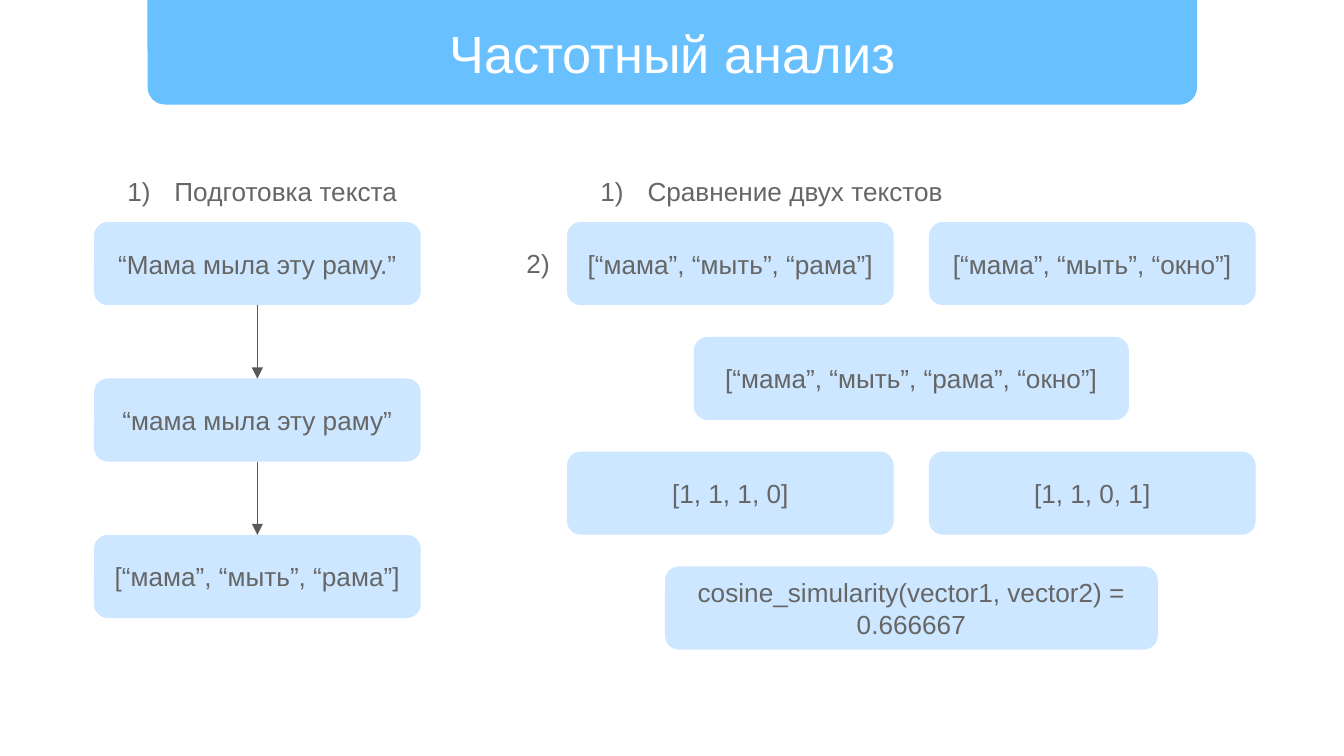
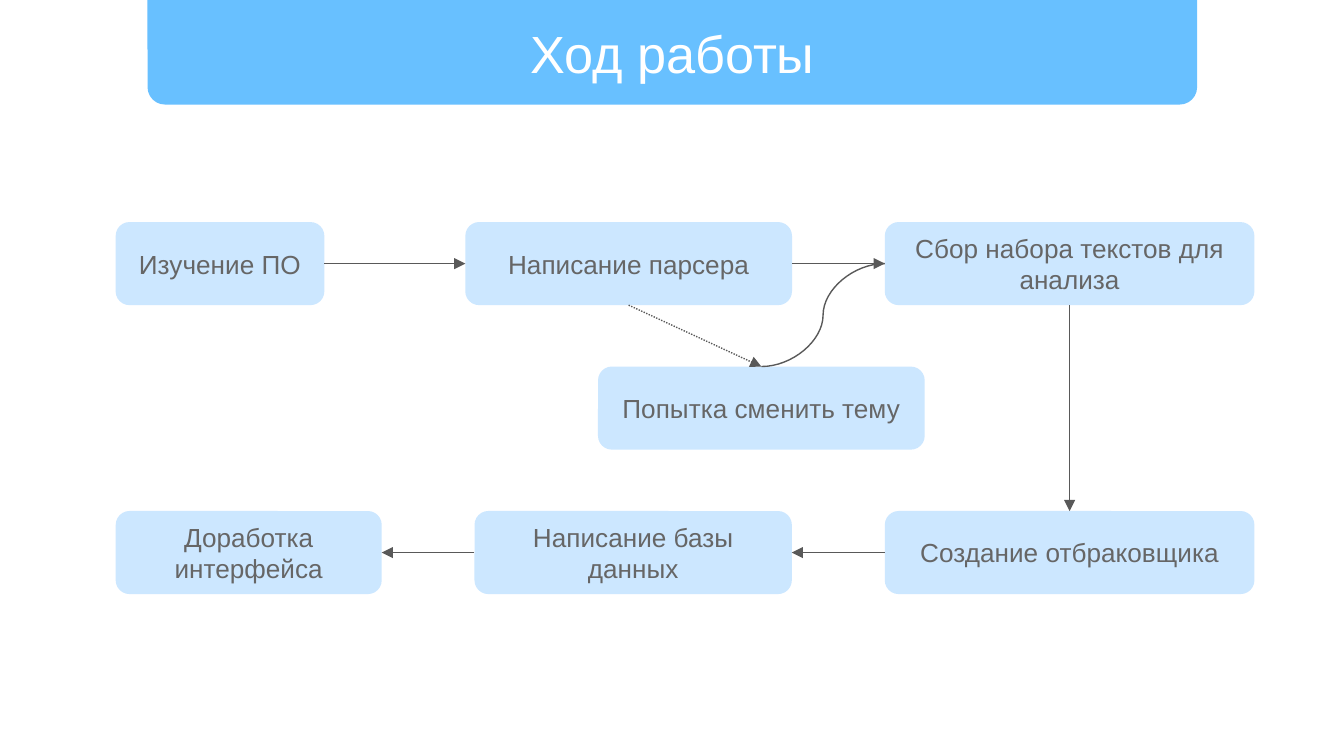
from lxml import etree
from pptx import Presentation
from pptx.dml.color import RGBColor
from pptx.enum.dml import MSO_LINE
from pptx.enum.shapes import MSO_CONNECTOR, MSO_SHAPE
from pptx.enum.text import MSO_ANCHOR, MSO_AUTO_SIZE, PP_ALIGN
from pptx.oxml.ns import qn
from pptx.util import Pt

STRAIGHT, CURVE = MSO_CONNECTOR.STRAIGHT, MSO_CONNECTOR.CURVE
ROUNDED, BAND = MSO_SHAPE.ROUNDED_RECTANGLE, MSO_SHAPE.ROUND_2_SAME_RECTANGLE
MIDDLE, TOP = MSO_ANCHOR.MIDDLE, MSO_ANCHOR.TOP
CENTER, LEFT = PP_ALIGN.CENTER, PP_ALIGN.LEFT
FIXED, GROW = MSO_AUTO_SIZE.NONE, MSO_AUTO_SIZE.SHAPE_TO_FIT_TEXT
DOTTED = MSO_LINE.ROUND_DOT
TITLE_ONLY = 5

THEME = {
    "font": "Arial",
    "title_size": Pt(28),
    "body_size": Pt(14),
    "band": RGBColor.from_string("68C0FF"),
    "box": RGBColor.from_string("CCE7FF"),
    "title": RGBColor.from_string("FFFFFF"),
    "body": RGBColor.from_string("666666"),
    "line": RGBColor.from_string("595959"),
}
INSET = Pt(7.2)
FRAME = {"word_wrap": True, "margin_left": INSET, "margin_right": INSET,
         "margin_top": INSET, "margin_bottom": INSET}
CENTERED = FRAME | {"auto_size": FIXED, "vertical_anchor": MIDDLE}
GROWING = FRAME | {"auto_size": GROW, "vertical_anchor": TOP}
BAND_LEFT, BAND_WIDTH, BAND_HEIGHT = 79, 562.3, 56
BOX_HEIGHT = 44.5
ROW_TOP = 119

# Frequency analysis: a column of preparation steps and a comparison block
STEP_LEFT, BOX_WIDTH, STEP_PITCH = 50.4, 175, 83.8
FIRST_LEFT, SECOND_LEFT, COMPARE_PITCH = 303.8, 497.7, 61.5
COMPARE_CENTER = (FIRST_LEFT + SECOND_LEFT + BOX_WIDTH) / 2
LABEL_TOP, LABEL_HEIGHT = 87, 31.7

steps = ["“Maма мыла эту раму.”", "“мaма мыла эту раму”", "[“мaма”, “мыть”, “рама”]"]
analysis_boxes = {
    f"step {row}": (text, STEP_LEFT, ROW_TOP + row * STEP_PITCH, BOX_WIDTH)
    for row, text in enumerate(steps)
}
compare_rows = [
    ["[“мaма”, “мыть”, “рама”]", "[“мaма”, “мыть”, “окно”]"],
    [("[“мaма”, “мыть”, “рама”, “окно”]", 233)],
    ["[1, 1, 1, 0]", "[1, 1, 0, 1]"],
    [("cosine_simularity(vector1, vector2) = 0.666667", 264)],
]
for row, entries in enumerate(compare_rows):
    top = ROW_TOP + row * COMPARE_PITCH
    if len(entries) == 2:
        for left, text in zip((FIRST_LEFT, SECOND_LEFT), entries):
            analysis_boxes[text, row] = (text, left, top, BOX_WIDTH)
    else:
        text, width = entries[0]
        analysis_boxes[text, row] = (text, COMPARE_CENTER - width / 2, top, width)

# Work progress: two rows of stages with a detour between them
LEFT_EDGE, RIGHT_LEFT, RIGHT_WIDTH = 62, 474, 198
DETOUR_TOP, LAST_ROW_TOP = 196.4, 273.8
progress_boxes = {
    "study": ("Изучение ПО", LEFT_EDGE, ROW_TOP, 111.8),
    "parser": ("Написание парсера", 249.3, ROW_TOP, BOX_WIDTH),
    "texts": ("Сбор набора текстов для анализа", RIGHT_LEFT, ROW_TOP, RIGHT_WIDTH),
    "detour": ("Попытка сменить тему", 320.4, DETOUR_TOP, BOX_WIDTH),
    "filter": ("Создание отбраковщика", RIGHT_LEFT, LAST_ROW_TOP, RIGHT_WIDTH),
    "database": ("Написание базы данных", 254.2, LAST_ROW_TOP, 170),
    "interface": ("Доработка интерфейса", LEFT_EDGE, LAST_ROW_TOP, 142.5),
}

SIDES = {"left": (0, 0.5), "right": (1, 0.5), "top": (0.5, 0), "bottom": (0.5, 1)}
ARROW, DOTTED_ARROW, CURVED_LINE = "arrow", "dotted arrow", "curved line"
SLIDES = [
    {
        "title": "Частотный анализ",
        "title_width": BAND_WIDTH,
        "boxes": analysis_boxes,
        "labels": [
            ("Подготовка текста", STEP_LEFT, LABEL_TOP, BOX_WIDTH, True),
            ("2)", 275, 125.3, 28.8, False),
            ("Сравнение двух текстов", FIRST_LEFT, LABEL_TOP, 228, True),
        ],
        "links": [(f"step {row}", "bottom", f"step {row + 1}", "top", ARROW)
                  for row in range(len(steps) - 1)],
    },
    {
        "title": "Ход работы",
        "title_width": 487.4,
        "boxes": progress_boxes,
        "labels": [],
        "links": [
            ("study", "right", "parser", "left", ARROW),
            ("parser", "right", "texts", "left", ARROW),
            ("texts", "bottom", "filter", "top", ARROW),
            ("database", "left", "interface", "right", ARROW),
            ("filter", "left", "database", "right", ARROW),
            ("parser", "bottom", "detour", "top", DOTTED_ARROW),
            ("detour", "top", "texts", "left", CURVED_LINE),
        ],
    },
]


def add_filled_shape(slide, kind, bounds, color):
    shape = slide.shapes.add_shape(kind, *map(Pt, bounds))
    shape.shadow.inherit = False
    shape.fill.solid()
    shape.fill.fore_color.rgb = color
    shape.line.fill.background()
    return shape


def write_text(shape, text, style, frame_format, alignment):
    """Fill a shape with one paragraph; style is "title" or "body"."""
    frame = shape.text_frame
    for name, value in frame_format.items():
        setattr(frame, name, value)
    paragraph = frame.paragraphs[0]
    paragraph.alignment = alignment
    run = paragraph.add_run()
    run.text = text
    font_format = {"name": THEME["font"], "size": THEME[f"{style}_size"]}
    for name, value in font_format.items():
        setattr(run.font, name, value)
    run.font.color.rgb = THEME[style]
    return paragraph


presentation = Presentation()
presentation.slide_width, presentation.slide_height = Pt(720), Pt(405)

for content in SLIDES:
    slide = presentation.slides.add_slide(presentation.slide_layouts[TITLE_ONLY])

    band = add_filled_shape(slide, BAND, (BAND_LEFT, 0, BAND_WIDTH, BAND_HEIGHT), THEME["band"])
    band.rotation = 180
    title = slide.shapes.title
    title.element.addprevious(band.element)
    title_width = content["title_width"]
    title_left = BAND_LEFT + (BAND_WIDTH - title_width) / 2
    title.left, title.top = Pt(title_left), Pt(-0.5)
    title.width, title.height = Pt(title_width), Pt(57)
    write_text(title, content["title"], "title", CENTERED, CENTER)

    for text, left, top, width in content["boxes"].values():
        box = add_filled_shape(slide, ROUNDED, (left, top, width, BOX_HEIGHT), THEME["box"])
        write_text(box, text, "body", CENTERED, CENTER)

    for text, left, top, width, numbered in content["labels"]:
        label = slide.shapes.add_textbox(Pt(left), Pt(top), Pt(width), Pt(LABEL_HEIGHT))
        paragraph = write_text(label, text, "body", GROWING, LEFT)
        if numbered:
            properties = paragraph._p.get_or_add_pPr()
            properties.set("marL", str(Pt(36)))
            properties.set("indent", str(Pt(-25.2)))
            bullet_color = etree.SubElement(properties, qn("a:buClr"))
            etree.SubElement(bullet_color, qn("a:srgbClr"), val=str(THEME["body"]))
            etree.SubElement(properties, qn("a:buAutoNum"), type="arabicParenR")

    for start, start_side, end, end_side, style in content["links"]:
        points = []
        for name, side in ((start, start_side), (end, end_side)):
            text, left, top, width = content["boxes"][name]
            across, down = SIDES[side]
            points += [Pt(left + across * width), Pt(top + down * BOX_HEIGHT)]
        kind = CURVE if style == CURVED_LINE else STRAIGHT
        connector = slide.shapes.add_connector(kind, *points)
        connector.line.width = Pt(0.75)
        connector.line.color.rgb = THEME["line"]
        if style == DOTTED_ARROW:
            connector.line.dash_style = DOTTED
        if style != CURVED_LINE:
            outline = connector.line._get_or_add_ln()
            etree.SubElement(outline, qn("a:tailEnd"), type="triangle")
        etree.SubElement(connector.element.spPr, qn("a:effectLst"))

presentation.save("out.pptx")
